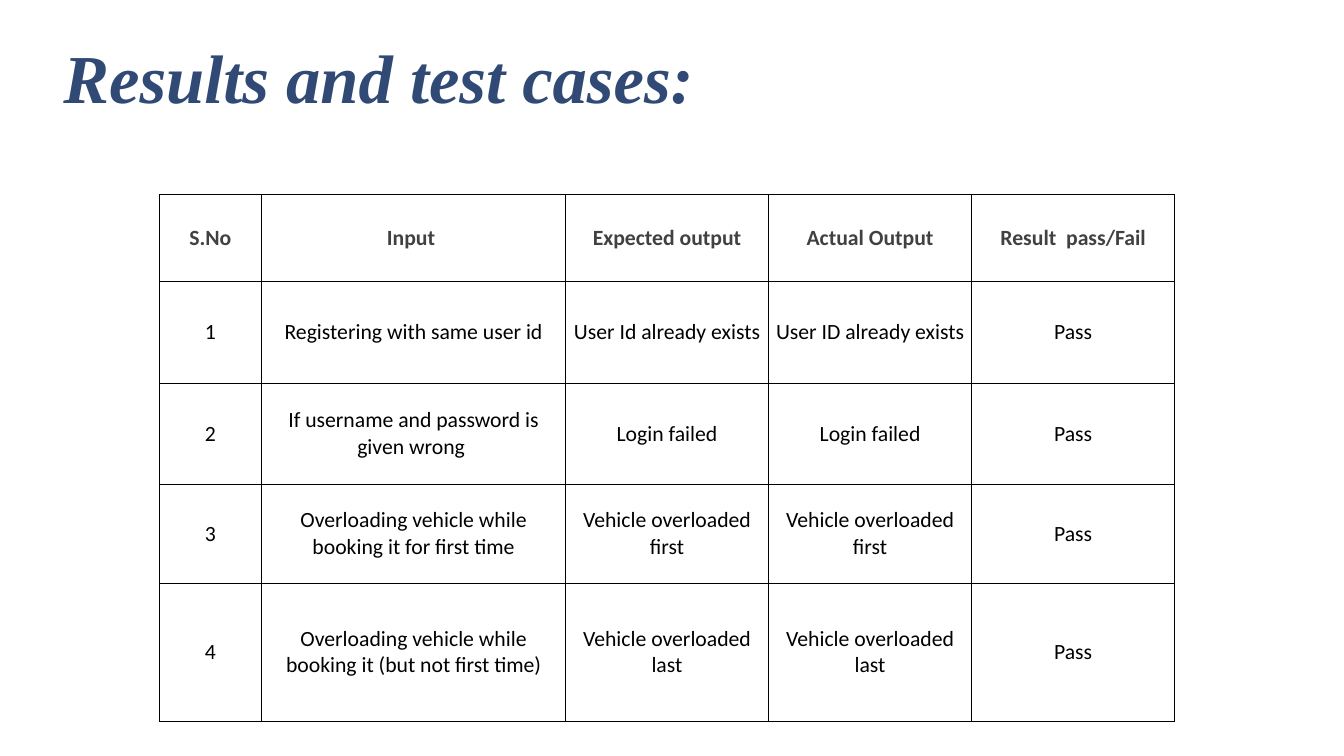
from dataclasses import dataclass

from lxml import etree
from pptx import Presentation
from pptx import util as u
from pptx.dml.color import RGBColor
from pptx.enum import text
from pptx.oxml import ns
from pptx.slide import Slide
from pptx.table import Table, _Cell
from pptx.text.text import _Paragraph


@dataclass(frozen=True)
class TextStyle:
    font: str
    size: float
    color: str
    bold: bool = False
    italic: bool = False


@dataclass(frozen=True)
class Theme:
    title: TextStyle = TextStyle("Times New Roman", 98, "304975", True, True)
    header: TextStyle = TextStyle("Calibri", 31, "414141", True)
    body: TextStyle = TextStyle("Calibri", 31, "000000")
    background: str = "FFFFFF"
    border: str = "000000"
    border_width: float = 1


@dataclass(frozen=True)
class TestCase:
    number: int
    action: str
    expected: str
    actual: str
    result: str = "Pass"

    def values(self) -> list[str]:
        return [str(self.number), self.action, self.expected, self.actual, self.result]


THEME = Theme()
HEADERS = ["S.No", "Input ", "Expected output", "Actual Output", "Result  pass/Fail"]
TEST_CASES = [
    TestCase(1, "Registering with same user id",
             "User Id already exists", "User ID already exists"),
    TestCase(2, "If username and password is given wrong ",
             "Login failed", "Login failed"),
    TestCase(3, "Overloading vehicle while booking it for first time",
             "Vehicle overloaded first", "Vehicle overloaded first"),
    TestCase(4, "Overloading vehicle while booking it (but not first time)",
             "Vehicle overloaded last", "Vehicle overloaded last"),
]
COLUMN_WIDTHS = [2.03, 6.03, 4.03, 4.03, 4.03]
ROW_HEIGHTS = [1.73, 2.01, 2.01, 1.96, 2.74]


def add_run(paragraph: _Paragraph, words: str, style: TextStyle) -> None:
    run = paragraph.add_run()
    run.text = words
    run.font.name = style.font
    run.font.size = u.Pt(style.size)
    run.font.bold = style.bold
    run.font.italic = style.italic
    run.font.color.rgb = RGBColor.from_string(style.color)


def set_title(slide: Slide, words: str) -> None:
    title = slide.shapes.title
    title.left, title.top = u.Inches(0.2), u.Inches(0.3)
    title.width, title.height = u.Inches(24.58), u.Inches(2.61)
    frame = title.text_frame
    frame.auto_size = text.MSO_AUTO_SIZE.NONE
    frame.word_wrap = True
    frame.vertical_anchor = text.MSO_ANCHOR.MIDDLE
    frame.margin_left = u.Inches(1.06)
    frame.margin_right = frame.margin_top = frame.margin_bottom = u.Inches(0.06)
    paragraph = frame.paragraphs[0]
    paragraph.alignment = text.PP_ALIGN.LEFT
    paragraph.line_spacing = 0.9
    paragraph.space_before = u.Pt(0)
    add_run(paragraph, words, THEME.title)


def set_borders(cell: _Cell) -> None:
    properties = cell._tc.get_or_add_tcPr()
    for side in ("a:lnL", "a:lnR", "a:lnT", "a:lnB"):
        line = etree.SubElement(properties, ns.qn(side), w=str(u.Pt(THEME.border_width)))
        fill = etree.SubElement(line, ns.qn("a:solidFill"))
        etree.SubElement(fill, ns.qn("a:srgbClr"), val=THEME.border)


def fill_cell(cell: _Cell, words: str, style: TextStyle) -> None:
    set_borders(cell)
    cell.fill.background()
    cell.vertical_anchor = text.MSO_ANCHOR.MIDDLE
    cell.margin_left = cell.margin_right = u.Inches(0.05)
    cell.margin_top = cell.margin_bottom = u.Inches(0.05)
    paragraph = cell.text_frame.paragraphs[0]
    paragraph.alignment = text.PP_ALIGN.CENTER
    add_run(paragraph, words, style)


def add_results_table(slide: Slide) -> Table:
    rows = [HEADERS] + [case.values() for case in TEST_CASES]
    table = slide.shapes.add_table(
        len(rows), len(HEADERS), u.Inches(3.16), u.Inches(3.86),
        u.Inches(sum(COLUMN_WIDTHS)), u.Inches(sum(ROW_HEIGHTS))).table
    table.first_row = table.horz_banding = False
    for column, width in zip(table.columns, COLUMN_WIDTHS):
        column.width = u.Inches(width)
    for row, height in zip(table.rows, ROW_HEIGHTS):
        row.height = u.Inches(height)
    for row_index, values in enumerate(rows):
        style = THEME.body if row_index else THEME.header
        for column_index, words in enumerate(values):
            fill_cell(table.cell(row_index, column_index), words, style)
    return table


def main() -> None:
    presentation = Presentation()
    presentation.slide_width = u.Inches(26.67)
    presentation.slide_height = u.Inches(15)
    slide = presentation.slides.add_slide(presentation.slide_layouts.get_by_name("Title Only"))
    slide.background.fill.solid()
    slide.background.fill.fore_color.rgb = RGBColor.from_string(THEME.background)
    set_title(slide, "Results and test cases:")
    add_results_table(slide)
    presentation.save("out.pptx")


if __name__ == "__main__":
    main()
